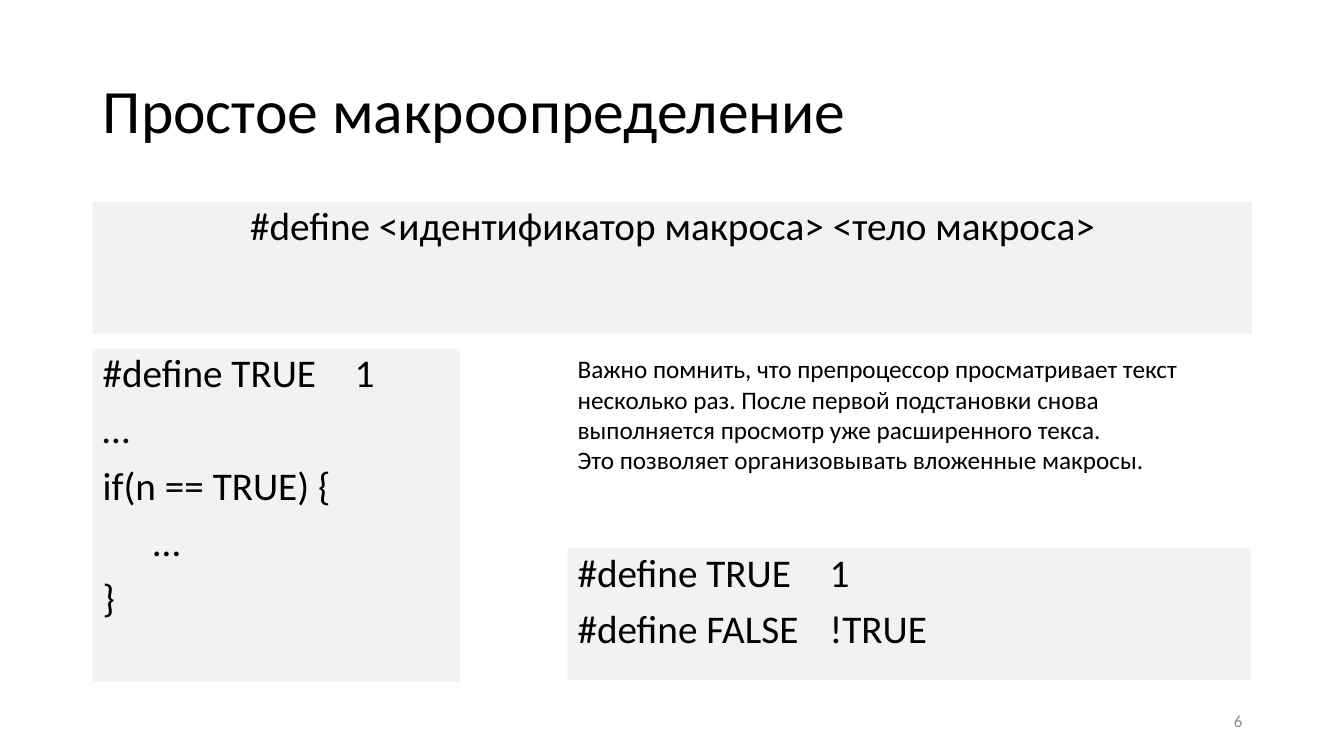
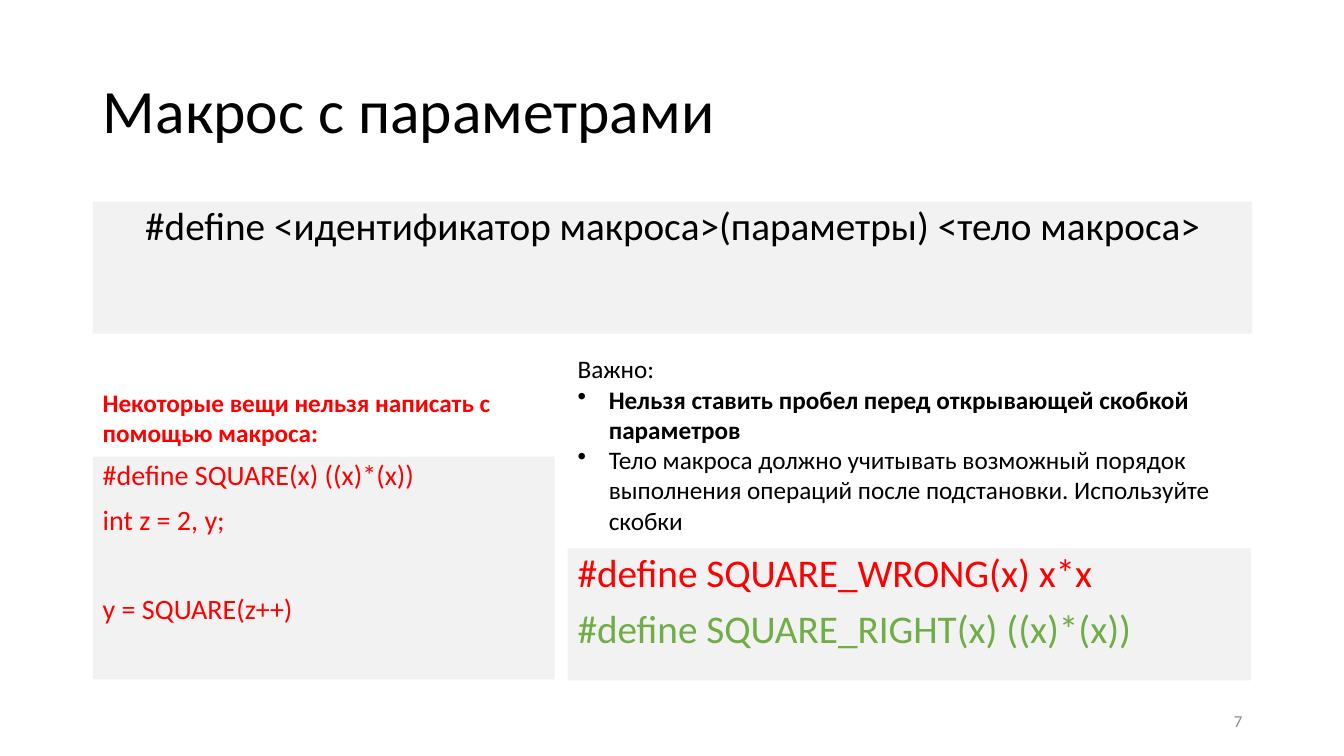
from lxml import etree
from pptx import Presentation
from pptx.dml.color import RGBColor
from pptx.enum.shapes import MSO_SHAPE
from pptx.enum.text import MSO_ANCHOR, PP_ALIGN
from pptx.oxml.ns import qn
from pptx.util import Inches, Pt

RECT = MSO_SHAPE.RECTANGLE
TOP, MIDDLE = MSO_ANCHOR.TOP, MSO_ANCHOR.MIDDLE
LEFT, CENTER, RIGHT = PP_ALIGN.LEFT, PP_ALIGN.CENTER, PP_ALIGN.RIGHT

FONT = "Calibri"
BLACK = RGBColor(0x00, 0x00, 0x00)
GRAY = RGBColor(0x8C, 0x8C, 0x8C)
PALE = RGBColor(0xF2, 0xF2, 0xF2)
RED = RGBColor(0xFF, 0x00, 0x00)
GREEN = RGBColor(0x70, 0xAD, 0x47)

EDGE, WIDE = 0.92, 11.5
SIDE, HALF = 5.63, 6.78
NOTE_TOP, BAND = 3.46, 1.31
TITLE_BOX = (EDGE, 0.4, WIDE, 1.45)
RULE_BOX = (EDGE, 2, WIDE, BAND)
CODE_BOX = (SIDE, 5.44, HALF, BAND)
PAGE_BOX = (9.42, 6.95, 3, 0.4)
TIGHT, GAP = 0.9, 10


def style(para, size, color=BLACK, bold=False):
    """Format every run of a paragraph."""
    for run in para.runs:
        font = run.font
        font.name, font.size, font.bold = FONT, Pt(size), bold
        font.color.rgb = color


def write(frame, lines, size, color=BLACK, bold=False, align=LEFT,
          lead=1.0, gap=0, anchor=TOP):
    """Fill a text frame with one paragraph per line."""
    frame.word_wrap = True
    frame.vertical_anchor = anchor
    frame.text = "\n".join(lines)
    for para in frame.paragraphs:
        para.alignment = align
        para.line_spacing = lead
        para.space_before = Pt(gap)
        style(para, size, color, bold)
    return frame.paragraphs


def bullet(para):
    """Give a paragraph a round bullet with a hanging indent."""
    props = para._p.get_or_add_pPr()
    props.set("marL", str(Inches(0.31)))
    props.set("indent", str(Inches(-0.31)))
    etree.SubElement(props, qn("a:buChar")).set("char", "•")


def note(slide, box, lines, size=18, **look):
    """Add a plain text box."""
    shape = slide.shapes.add_textbox(*map(Inches, box))
    return write(shape.text_frame, lines, size, **look)


def code(slide, box, lines, size=28, **look):
    """Add a pale panel that holds code."""
    shape = slide.shapes.add_shape(RECT, *map(Inches, box))
    shape.shadow.inherit = False
    shape.fill.solid()
    shape.fill.fore_color.rgb = PALE
    shape.line.fill.background()
    return write(shape.text_frame, lines, size, lead=TIGHT, gap=GAP, **look)


def start(deck, title, rule, page):
    """Add a slide with its title, syntax band and page number."""
    slide = deck.slides.add_slide(deck.slide_layouts[5])
    head = slide.shapes.title
    head.left, head.top, head.width, head.height = map(Inches, TITLE_BOX)
    write(head.text_frame, [title], 44, lead=TIGHT, anchor=MIDDLE)
    code(slide, RULE_BOX, [rule], align=CENTER)
    note(slide, PAGE_BOX, [str(page)], 12, color=GRAY, align=RIGHT,
         anchor=MIDDLE)
    return slide


def simple(deck):
    """Build the slide on the simple macro."""
    slide = start(deck, "Простое макроопределение",
                  "#define <идентификатор макроса> <тело макроса>", 6)
    code(slide, (EDGE, NOTE_TOP, 3.64, 3.3),
         ["#define TRUE\t1", "…", "if(n == TRUE) {", "\t…", "}"])
    note(slide, (SIDE, NOTE_TOP, HALF, BAND), [
        "Важно помнить, что препроцессор просматривает текст несколько раз. "
        "После первой подстановки снова выполняется просмотр уже "
        "расширенного текса.",
        "Это позволяет организовывать вложенные макросы. "])
    code(slide, CODE_BOX, ["#define TRUE\t1", "#define FALSE\t!TRUE"])


def params(deck):
    """Build the slide on the macro with parameters."""
    slide = start(
        deck, "Макрос с параметрами",
        "#define <идентификатор макроса>(параметры) <тело макроса>", 7)
    _, space, body = note(slide, (SIDE, NOTE_TOP, HALF, 1.92), [
        "Важно:",
        "Нельзя ставить пробел перед открывающей скобкой параметров",
        "Тело макроса должно учитывать возможный порядок выполнения "
        "операций после подстановки. Используйте скобки"])
    bullet(space)
    bullet(body)
    style(space, 18, bold=True)
    _, good = code(slide, CODE_BOX, ["#define SQUARE_WRONG(x) x*x",
                                     "#define SQUARE_RIGHT(x) ((x)*(x))"],
                   color=RED)
    style(good, 28, GREEN)
    lines = code(slide, (EDGE, 4.53, 4.58, 2.21),
                 ["#define SQUARE(x) ((x)*(x))", "int z = 2, y;",
                  "y = SQUARE(z++)"], 20, color=RED)
    lines[-1].space_before = Pt(42)
    note(slide, (EDGE, 3.79, 4.58, 0.71),
         ["Некоторые вещи нельзя написать с помощью макроса: "],
         color=RED, bold=True)


def main():
    """Build and save the deck."""
    deck = Presentation()
    deck.slide_width, deck.slide_height = Inches(13.33), Inches(7.5)
    simple(deck)
    params(deck)
    deck.save("out.pptx")


main()
